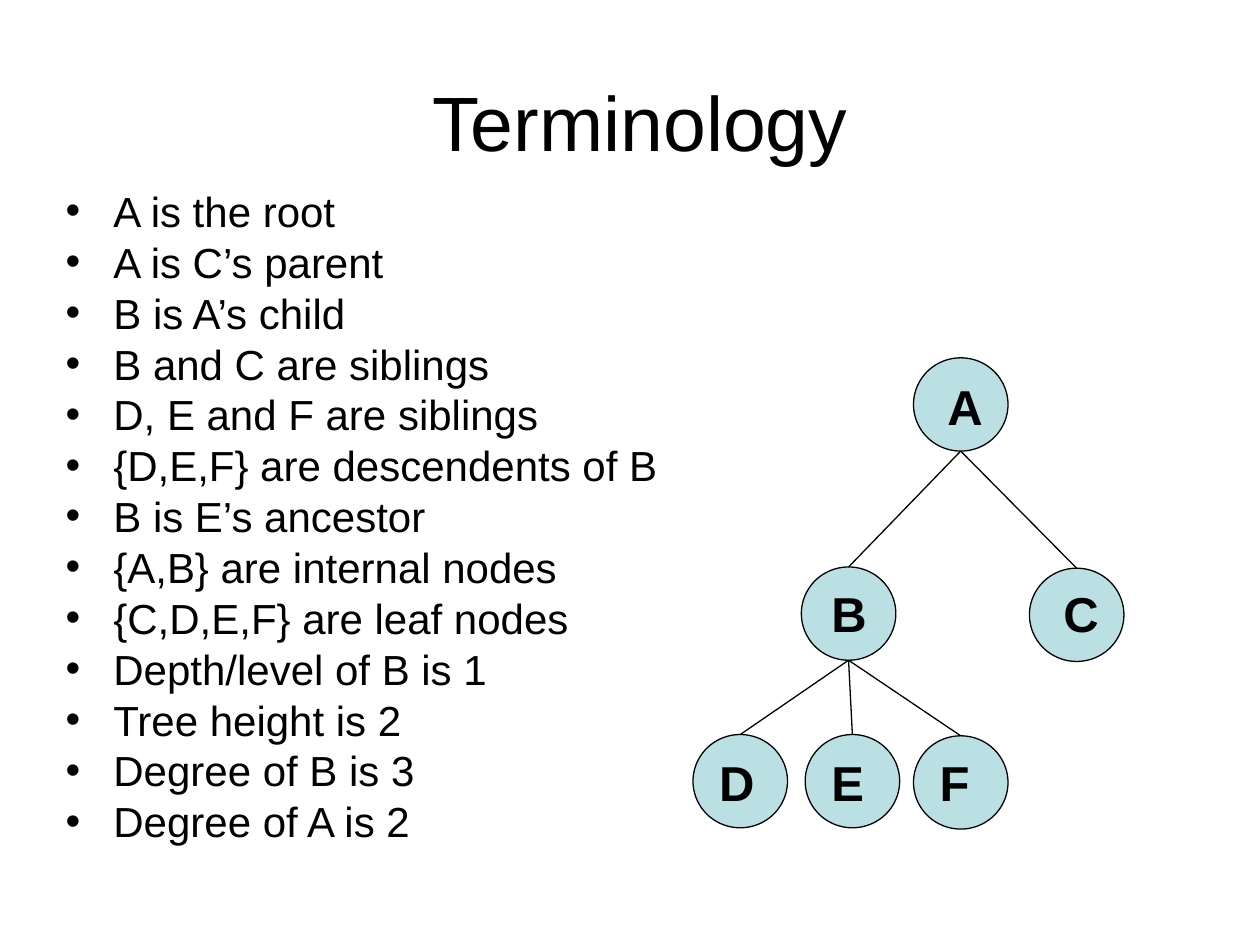
"""Build the tree terminology slide."""
from dataclasses import dataclass

from pptx import Presentation
from pptx.dml.color import RGBColor
from pptx.enum.shapes import MSO_CONNECTOR as CONN, MSO_SHAPE as SHAPE
from pptx.enum.text import MSO_ANCHOR as ANCHOR, MSO_AUTO_SIZE as AUTO, PP_ALIGN as ALIGN
from pptx.oxml.ns import qn
from pptx.slide import Slide
from pptx.util import Inches, Pt

BLACK = RGBColor(0x00, 0x00, 0x00)
AQUA = RGBColor(0xBB, 0xE0, 0xE3)
FONT = "Arial"
NODE_W, NODE_H = 0.75, 0.74
LABEL_H = 0.57

FACTS = [
    "A is the root",
    "A is C’s parent",
    "B is A’s child",
    "B and C are siblings",
    "D, E and F are siblings",
    "{D,E,F} are descendents of B",
    "B is E’s ancestor",
    "{A,B} are internal nodes",
    "{C,D,E,F} are leaf nodes",
    "Depth/level of B is 1",
    "Tree height is 2",
    "Degree of B is 3",
    "Degree of A is 2",
]


@dataclass
class Node:
    name: str
    left: float
    top: float
    label_left: float
    label_top: float
    label_width: float = 0.48
    parent: str = ""


NODES = [
    Node("A", 7.25, 2.84, 7.42, 2.94),
    Node("B", 6.36, 4.5, 6.5, 4.58, parent="A"),
    Node("C", 8.17, 4.51, 8.34, 4.58, parent="A"),
    Node("D", 5.5, 5.83, 5.61, 5.92, parent="B"),
    Node("E", 6.39, 5.83, 6.5, 5.92, 0.46, parent="B"),
    Node("F", 7.25, 5.84, 7.36, 5.92, 0.44, parent="B"),
]


def style(p, size: int, bold: bool = False) -> None:
    for r in p.runs:
        r.font.name = FONT
        r.font.size = Pt(size)
        r.font.bold = bold
        r.font.color.rgb = BLACK


def place(sp, left: float, top: float, width: float, height: float) -> None:
    sp.left, sp.top = Inches(left), Inches(top)
    sp.width, sp.height = Inches(width), Inches(height)


def add_title(s: Slide, text: str) -> None:
    sp = s.shapes.title
    place(sp, 0.58, 0.33, 9, 1.25)
    tf = sp.text_frame
    tf.text = text
    tf.auto_size = AUTO.NONE
    tf.vertical_anchor = ANCHOR.MIDDLE
    p = tf.paragraphs[0]
    p.alignment = ALIGN.CENTER
    style(p, 44)


def add_facts(s: Slide, facts: list[str]) -> None:
    sp = s.placeholders[1]
    place(sp, 0.42, 1.5, 6, 5.58)
    tf = sp.text_frame
    tf.text = "\n".join(facts)
    tf.auto_size = AUTO.NONE
    for i, p in enumerate(tf.paragraphs):
        pPr = p._p.get_or_add_pPr()
        pPr.set("marL", str(Inches(0.38)))
        pPr.set("indent", str(Inches(-0.38)))
        p.line_spacing = 0.8
        p.space_before = Pt(6 if i else 0)
        style(p, 24)


def add_circle(s: Slide, node: Node) -> None:
    sp = s.shapes.add_shape(SHAPE.OVAL, Inches(node.left), Inches(node.top),
                            Inches(NODE_W), Inches(NODE_H))
    sp.shadow.inherit = False
    sp.fill.solid()
    sp.fill.fore_color.rgb = AQUA
    sp.line.color.rgb = BLACK
    sp.line.width = Pt(0.75)


def add_edge(s: Slide, parent: Node, child: Node) -> None:
    line = s.shapes.add_connector(
        CONN.STRAIGHT,
        Inches(parent.left + NODE_W / 2), Inches(parent.top + NODE_H),
        Inches(child.left + NODE_W / 2), Inches(child.top))
    line.line.color.rgb = BLACK
    line.line.width = Pt(0.75)
    spPr = line._element.spPr
    spPr.append(spPr.makeelement(qn("a:effectLst"), {}))


def add_label(s: Slide, node: Node) -> None:
    sp = s.shapes.add_textbox(Inches(node.label_left), Inches(node.label_top),
                              Inches(node.label_width), Inches(LABEL_H))
    tf = sp.text_frame
    tf.text = node.name
    tf.word_wrap = False
    tf.auto_size = AUTO.SHAPE_TO_FIT_TEXT
    style(tf.paragraphs[0], 28, bold=True)


def main() -> None:
    prs = Presentation()
    prs.slide_width, prs.slide_height = Inches(10), Inches(7.5)
    s = prs.slides.add_slide(prs.slide_layouts[1])
    add_title(s, "Terminology")
    add_facts(s, FACTS)
    by_name = {node.name: node for node in NODES}
    for node in NODES:
        add_circle(s, node)
    for node in NODES:
        if node.parent:
            add_edge(s, by_name[node.parent], node)
    for node in NODES:
        add_label(s, node)
    prs.save("out.pptx")


if __name__ == "__main__":
    main()
